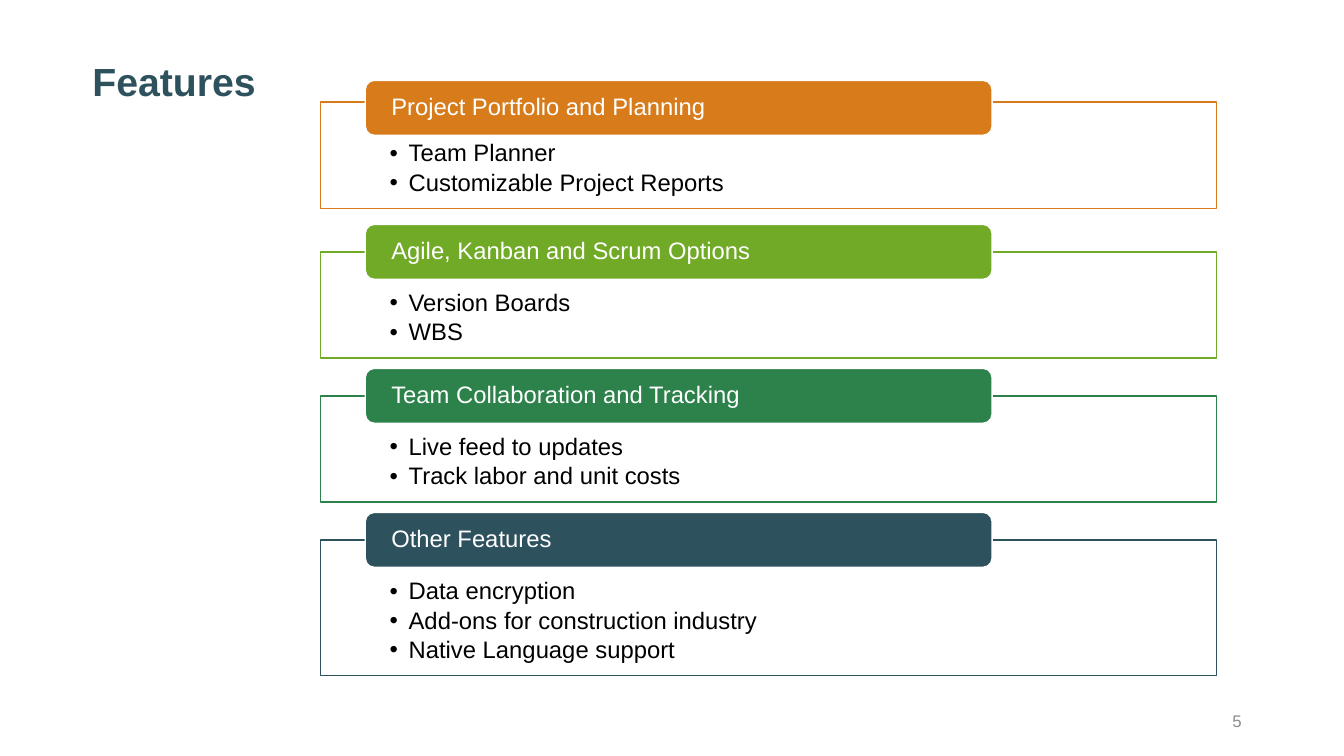
from dataclasses import dataclass

from lxml import etree
from pptx import Presentation
from pptx.dml.color import RGBColor
from pptx.enum.shapes import MSO_SHAPE
from pptx.enum.text import MSO_ANCHOR, PP_ALIGN
from pptx.oxml.ns import qn
from pptx.shapes.autoshape import Shape
from pptx.slide import Slide
from pptx.text.text import TextFrame
from pptx.util import Pt

RECTANGLE, ROUNDED = MSO_SHAPE.RECTANGLE, MSO_SHAPE.ROUNDED_RECTANGLE
TOP, MIDDLE = MSO_ANCHOR.TOP, MSO_ANCHOR.MIDDLE
LEFT, RIGHT = PP_ALIGN.LEFT, PP_ALIGN.RIGHT


@dataclass(frozen=True)
class Theme:
    font: str = "Arial"
    white: str = "FFFFFF"
    black: str = "000000"
    grey: str = "8C8C8C"
    orange: str = "D87C1B"
    lime: str = "71AA26"
    green: str = "2D824B"
    slate: str = "2E515E"
    title_size: float = 28
    feature_size: float = 17
    number_size: float = 12


@dataclass(frozen=True)
class Box:
    left: float
    top: float
    width: float
    height: float

    def lengths(self) -> tuple[Pt, Pt, Pt, Pt]:
        return Pt(self.left), Pt(self.top), Pt(self.width), Pt(self.height)


@dataclass(frozen=True)
class FeatureGroup:
    heading: str
    features: tuple[str, ...]
    color: str
    frame_top: float
    frame_height: float = 75.8


THEME = Theme()
FIRST_HEADING_TOP = 57.4
HEADING_PITCH = 102.86
BULLET_INDENT = 13.5

GROUPS = (
    FeatureGroup("Project Portfolio and Planning",
                 ("Team Planner", "Customizable Project Reports"), THEME.orange, 73),
    FeatureGroup("Agile, Kanban and Scrum Options",
                 ("Version Boards", "WBS"), THEME.lime, 180),
    FeatureGroup("Team Collaboration and Tracking",
                 ("Live feed to updates", "Track labor and unit costs"), THEME.green, 282.9),
    FeatureGroup("Other Features",
                 ("Data encryption", "Add-ons for construction industry",
                  "Native Language support"), THEME.slate, 385.8, 96.9),
)


def write(frame: TextFrame, text: str, size: float, color: str,
          insets: tuple[float, float, float, float], anchor: MSO_ANCHOR = TOP,
          align: PP_ALIGN = LEFT, bold: bool = False, spacing: float = 0.9) -> None:
    """Fill a text frame; insets run left, top, right, bottom."""
    frame.text = text
    frame.word_wrap = True
    frame.vertical_anchor = anchor
    (frame.margin_left, frame.margin_top,
     frame.margin_right, frame.margin_bottom) = map(Pt, insets)
    for paragraph in frame.paragraphs:
        paragraph.alignment = align
        paragraph.line_spacing = spacing
        for run in paragraph.runs:
            run.font.name = THEME.font
            run.font.size = Pt(size)
            run.font.bold = bold
            run.font.color.rgb = RGBColor.from_string(color)


def add_bullets(frame: TextFrame) -> None:
    for paragraph in frame.paragraphs:
        paragraph.space_after = Pt(2.5)
        properties = paragraph._p.get_or_add_pPr()
        properties.set("marL", str(Pt(BULLET_INDENT)))
        properties.set("indent", str(-Pt(BULLET_INDENT)))
        etree.SubElement(properties, qn("a:buFont")).set("typeface", THEME.font)
        etree.SubElement(properties, qn("a:buChar")).set("char", "•")


def add_panel(slide: Slide, preset: MSO_SHAPE, box: Box, fill: str, line: str) -> Shape:
    panel = slide.shapes.add_shape(preset, *box.lengths())
    panel.shadow.inherit = False
    panel.fill.solid()
    panel.fill.fore_color.rgb = RGBColor.from_string(fill)
    panel.line.color.rgb = RGBColor.from_string(line)
    panel.line.width = Pt(1)
    return panel


def add_group(slide: Slide, group: FeatureGroup, heading_top: float) -> None:
    # Outlined frame with the feature list
    frame = add_panel(slide, RECTANGLE, Box(229, group.frame_top, 640, group.frame_height),
                      THEME.white, group.color)
    fill_color = frame.fill._xPr.find(qn("a:solidFill"))[0]
    etree.SubElement(fill_color, qn("a:alpha")).set("val", "90000")
    write(frame.text_frame, "\n".join(group.features), THEME.feature_size, THEME.black,
          (49.4, 28, 49.4, 4))
    add_bullets(frame.text_frame)

    # Heading bar over the top edge of the frame
    heading = add_panel(slide, ROUNDED, Box(260.9, heading_top, 447.8, 39.3),
                        group.color, THEME.white)
    write(heading.text_frame, group.heading, THEME.feature_size, THEME.white,
          (16.7, 0, 16.7, 0), MIDDLE)


def main() -> None:
    presentation = Presentation()
    presentation.slide_width, presentation.slide_height = Pt(960), Pt(540)
    slide = presentation.slides.add_slide(presentation.slide_layouts[6])

    # Title
    title = slide.shapes.add_textbox(*Box(66, 44.6, 829.4, 69.1).lengths())
    write(title.text_frame, "Features", THEME.title_size, THEME.slate, (0, 0, 0, 0), bold=True)

    # Feature groups
    for index, group in enumerate(GROUPS):
        add_group(slide, group, FIRST_HEADING_TOP + index * HEADING_PITCH)

    # Page number
    page_number = slide.shapes.add_textbox(*Box(678, 500.5, 216, 28.8).lengths())
    write(page_number.text_frame, "5", THEME.number_size, THEME.grey,
          (7.2, 3.6, 7.2, 3.6), MIDDLE, RIGHT, spacing=1.0)

    presentation.save("out.pptx")


if __name__ == "__main__":
    main()
